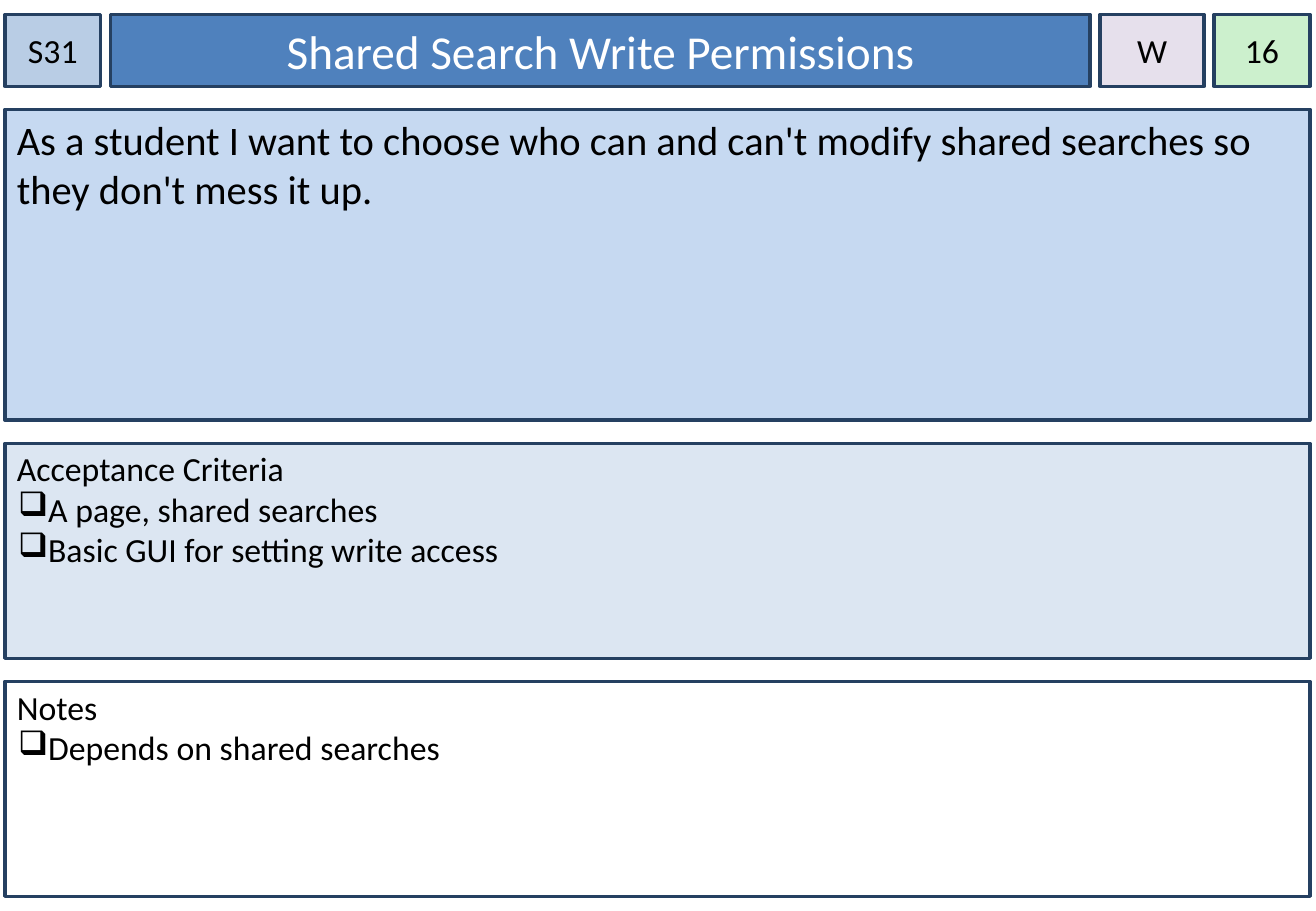
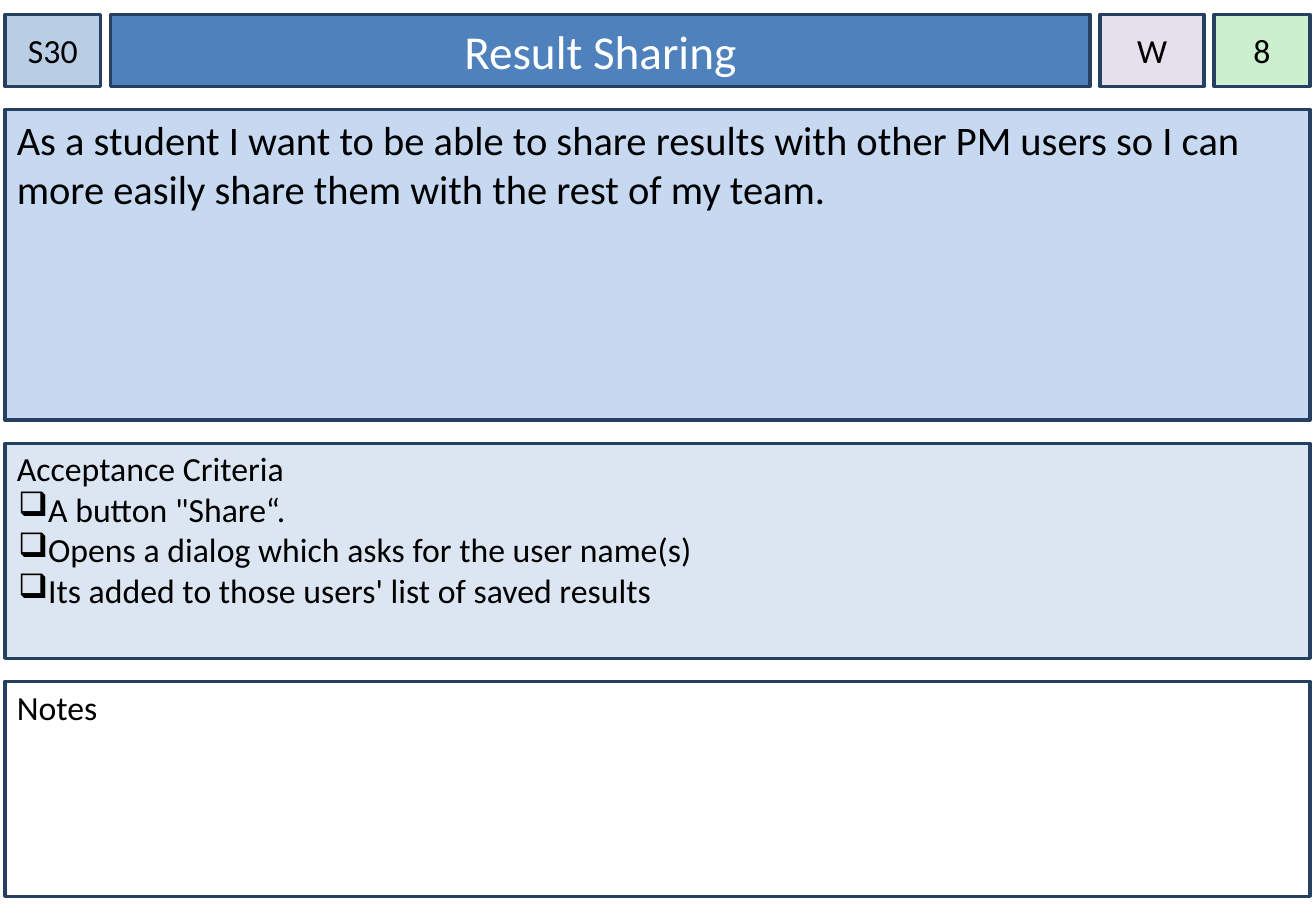
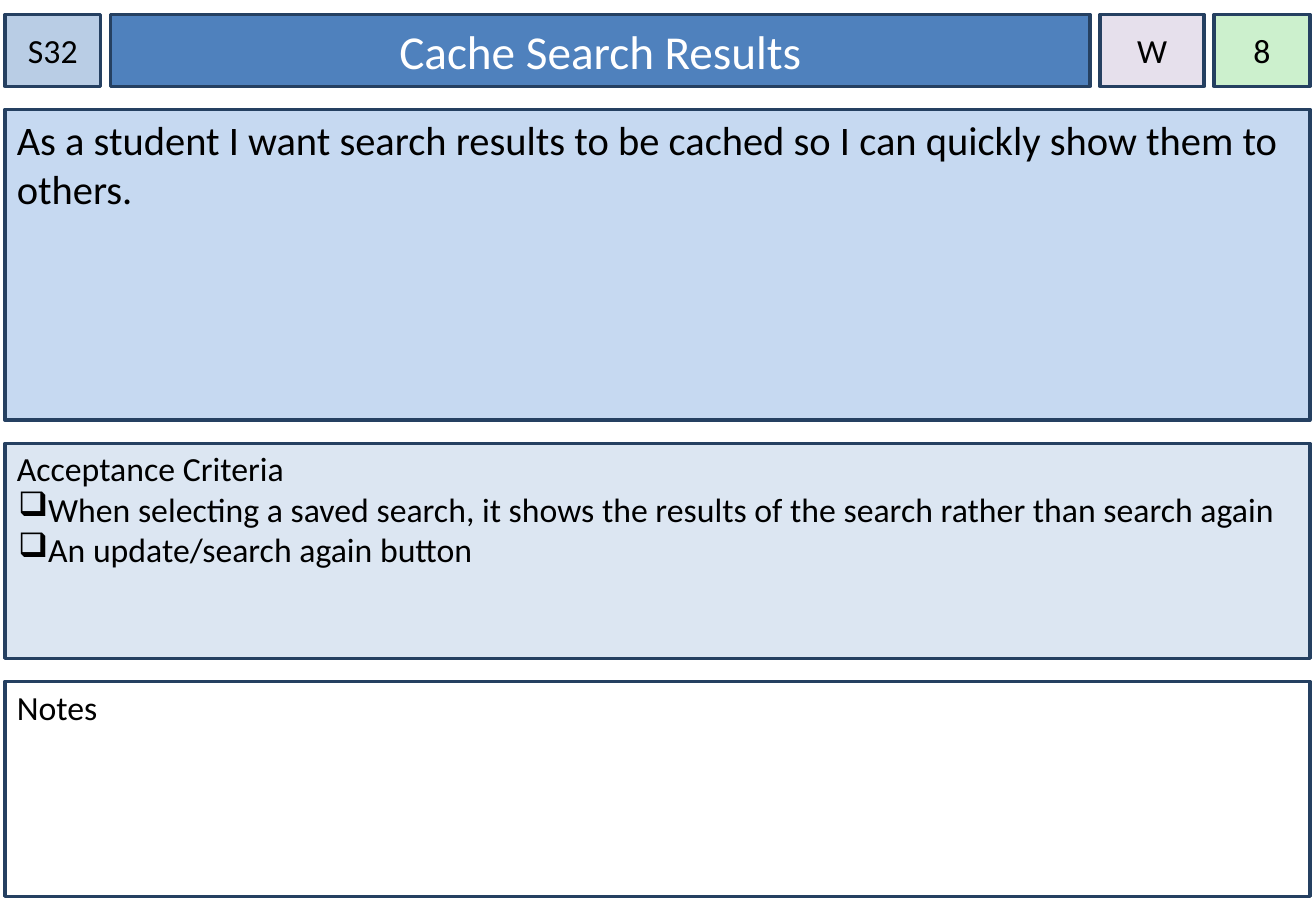
"""Builds a deck of user story cards, one card per slide."""
from dataclasses import dataclass

from lxml import etree
from pptx import Presentation
from pptx.dml.color import RGBColor
from pptx.enum.shapes import MSO_SHAPE
from pptx.enum.text import MSO_ANCHOR, PP_ALIGN
from pptx.oxml.ns import qn
from pptx.slide import Slide
from pptx.text.text import TextFrame, _Paragraph
from pptx.util import Inches, Pt

RECTANGLE = MSO_SHAPE.RECTANGLE
TOP, MIDDLE = MSO_ANCHOR.TOP, MSO_ANCHOR.MIDDLE
LEFT, CENTER = PP_ALIGN.LEFT, PP_ALIGN.CENTER

BLACK = RGBColor(0x00, 0x00, 0x00)
WHITE = RGBColor(0xFF, 0xFF, 0xFF)
NAVY = RGBColor(0x25, 0x40, 0x61)
ID_BLUE = RGBColor(0xB9, 0xCD, 0xE5)
TITLE_BLUE = RGBColor(0x4F, 0x81, 0xBD)
STORY_BLUE = RGBColor(0xC6, 0xD9, 0xF1)
CRITERIA_BLUE = RGBColor(0xDC, 0xE6, 0xF2)
PRIORITY_LILAC = RGBColor(0xE6, 0xE0, 0xEC)
ESTIMATE_GREEN = RGBColor(0xCC, 0xF0, 0xCD)

FONT = "Calibri"
CHECKBOX = "❑"
MARGIN_LEFT, MARGIN_TOP = 0.04, 0.12
HEADER_HEIGHT = 0.59
COLUMN_GAP, ROW_GAP = 0.08, 0.19
PANEL_WIDTH = 10.75


@dataclass(frozen=True)
class Card:
    number: str
    title: str
    priority: str
    estimate: str
    story: str
    criteria: tuple[str, ...]
    notes: tuple[str, ...] = ()


@dataclass(frozen=True)
class BoxStyle:
    extent: float
    fill: RGBColor
    size: int = 20
    color: RGBColor = BLACK
    side_inset: float = 0.1
    top_inset: float = 0.05
    anchor: MSO_ANCHOR = TOP
    align: PP_ALIGN = LEFT


NUMBER = BoxStyle(0.79, ID_BLUE, side_inset=0, anchor=MIDDLE, align=CENTER)
TITLE = BoxStyle(8.07, TITLE_BLUE, 28, WHITE, anchor=MIDDLE, align=CENTER)
PRIORITY = BoxStyle(0.86, PRIORITY_LILAC, side_inset=0, anchor=MIDDLE, align=CENTER)
ESTIMATE = BoxStyle(0.79, ESTIMATE_GREEN, side_inset=0, anchor=MIDDLE, align=CENTER)
STORY = BoxStyle(2.56, STORY_BLUE, 24)
CRITERIA = BoxStyle(1.77, CRITERIA_BLUE, top_inset=0.04)
NOTES = BoxStyle(1.77, WHITE, top_inset=0.04)

CARDS = (
    Card(
        "S31", "Shared Search Write Permissions", "W", "16",
        "As a student I want to choose who can and can't modify shared searches "
        "so they don't mess it up.",
        ("A page, shared searches", "Basic GUI for setting write access"),
        ("Depends on shared searches",),
    ),
    Card(
        "S30", "Result Sharing", "W", "8",
        "As a student I want to be able to share results with other PM users "
        "so I can more easily share them with the rest of my team.",
        (
            'A button "Share“.',
            "Opens a dialog which asks for the user name(s)",
            "Its added to those users' list of saved results",
        ),
    ),
    Card(
        "S32", "Cache Search Results", "W", "8",
        "As a student I want search results to be cached so I can quickly show "
        "them to others.",
        (
            "When selecting a saved search, it shows the results of the search "
            "rather than search again",
            "An update/search again button",
        ),
    ),
)


def add_text(paragraph: _Paragraph, text: str, style: BoxStyle) -> None:
    paragraph.alignment = style.align
    run = paragraph.add_run()
    run.text = text
    run.font.name = FONT
    run.font.size = Pt(style.size)
    run.font.color.rgb = style.color


def add_checkbox(paragraph: _Paragraph) -> None:
    properties = paragraph._p.get_or_add_pPr()
    properties.set("marL", str(Inches(0.24)))
    properties.set("indent", str(Inches(-0.23)))
    color = etree.SubElement(properties, qn("a:buClr"))
    etree.SubElement(color, qn("a:srgbClr"), val=str(BLACK))
    etree.SubElement(properties, qn("a:buChar"), char=CHECKBOX)


def add_box(slide: Slide, left: float, top: float, width: float, height: float,
            text: str, style: BoxStyle) -> TextFrame:
    box = slide.shapes.add_shape(
        RECTANGLE, Inches(left), Inches(top), Inches(width), Inches(height))
    box.shadow.inherit = False
    box.fill.solid()
    box.fill.fore_color.rgb = style.fill
    box.line.color.rgb = NAVY
    box.line.width = Pt(2)
    frame = box.text_frame
    frame.word_wrap = True
    frame.vertical_anchor = style.anchor
    frame.margin_left = frame.margin_right = Inches(style.side_inset)
    frame.margin_top = Inches(style.top_inset)
    frame.margin_bottom = Inches(0.05)
    add_text(frame.paragraphs[0], text, style)
    return frame


def add_header(slide: Slide, card: Card) -> None:
    left = MARGIN_LEFT
    for text, style in ((card.number, NUMBER), (card.title, TITLE),
                        (card.priority, PRIORITY), (card.estimate, ESTIMATE)):
        add_box(slide, left, MARGIN_TOP, style.extent, HEADER_HEIGHT, text, style)
        left += style.extent + COLUMN_GAP


def add_panels(slide: Slide, card: Card) -> None:
    top = MARGIN_TOP + HEADER_HEIGHT + ROW_GAP
    for text, items, style in ((card.story, (), STORY),
                               ("Acceptance Criteria", card.criteria, CRITERIA),
                               ("Notes", card.notes, NOTES)):
        frame = add_box(slide, MARGIN_LEFT, top, PANEL_WIDTH, style.extent, text, style)
        for item in items:
            paragraph = frame.add_paragraph()
            add_checkbox(paragraph)
            add_text(paragraph, item, style)
        top += style.extent + ROW_GAP


def main() -> None:
    deck = Presentation()
    deck.slide_width, deck.slide_height = Inches(10.84), Inches(7.5)
    blank = deck.slide_layouts[6]
    for card in CARDS:
        slide = deck.slides.add_slide(blank)
        add_header(slide, card)
        add_panels(slide, card)
    deck.save("out.pptx")


if __name__ == "__main__":
    main()
